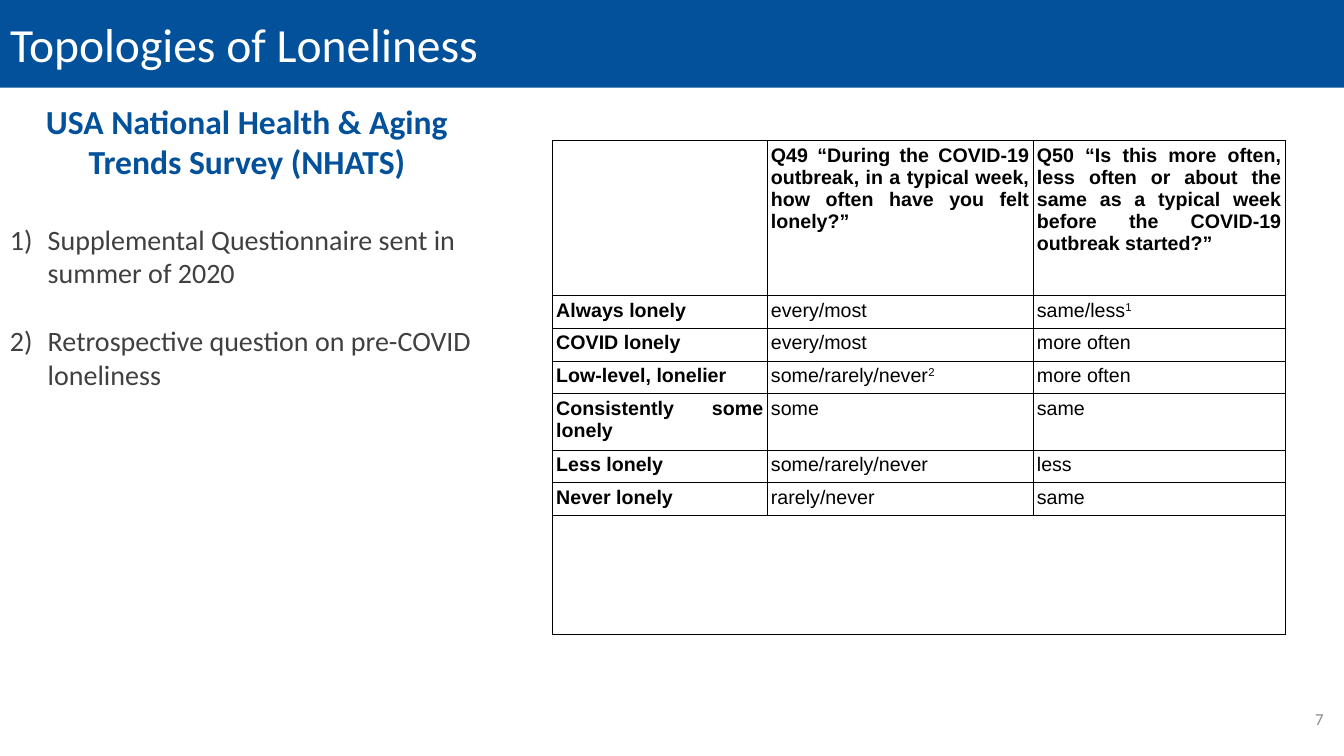
from lxml import etree
from pptx import Presentation
from pptx import util as u
from pptx.dml.color import RGBColor
from pptx.enum import shapes, text
from pptx.oxml import ns

BLUE, GREY, WHITE, BLACK = "03519B", "404040", "FFFFFF", "000000"
HEADING = "USA National Health & Aging Trends Survey (NHATS)"
POINTS = ["Supplemental Questionnaire sent in summer of 2020",
          "Retrospective question on pre-COVID loneliness"]
# A caret marks the start of a superscript
ROWS = [
    ["", "Q49 “During the COVID-19 outbreak, in a typical week, how often have you felt lonely?”",
     "Q50 “Is this more often, less often or about the same as a typical week "
     "before the COVID-19 outbreak started?”"],
    ["Always lonely", "every/most", "same/less^1"],
    ["COVID lonely", "every/most", "more often"],
    ["Low-level, lonelier", "some/rarely/never^2", "more often"],
    ["Consistently some lonely", "some", "same"],
    ["Less lonely", "some/rarely/never", "less"],
    ["Never lonely", "rarely/never", "same"],
    ["", "", ""],
]
COLUMN_WIDTHS = [153.4, 190, 180]
ROW_HEIGHTS = [110.9, 23.3, 23.3, 23.3, 40.5, 23.3, 23.3, 84.9]


def color(value):
    return RGBColor.from_string(value)


def style(target, **values):
    for name, value in values.items():
        setattr(target, name, value)


def add_span(para, words, size, hue, name="Calibri", bold=False):
    span = para.add_run()
    span.text = words
    style(span.font, size=u.Pt(size), name=name, bold=bold)
    span.font.color.rgb = color(hue)
    return span


def add_text_frame(page, left, top, width, height):
    frame = page.shapes.add_textbox(*map(u.Pt, (left, top, width, height))).text_frame
    frame.word_wrap = True
    return frame


def add_header(page, left, top, width, height):
    # Blue band, placed behind the title
    band = page.shapes.add_shape(shapes.MSO_SHAPE.RECTANGLE,
                                 *map(u.Pt, (left, top, width, height)))
    band.shadow.inherit = False
    band.fill.solid()
    band.fill.fore_color.rgb = color(BLUE)
    band.line.fill.background()
    title = page.shapes.title
    title.element.addprevious(band.element)
    # Title, centred on the band with room above and below
    style(title, left=u.Pt(left), top=u.Pt(top - 11.5),
          width=u.Pt(width - 73.4), height=u.Pt(height + 28.1))
    style(title.text_frame, vertical_anchor=text.MSO_ANCHOR.MIDDLE,
          auto_size=text.MSO_AUTO_SIZE.NONE, word_wrap=True)
    para = title.text_frame.paragraphs[0]
    style(para, alignment=text.PP_ALIGN.LEFT, line_spacing=0.9)
    add_span(para, "Topologies of Loneliness", 34, WHITE)


def add_survey_notes(page, left, top, width, height):
    frame = add_text_frame(page, left, top, width, height)
    para = frame.paragraphs[0]
    para.alignment = text.PP_ALIGN.CENTER
    add_span(para, HEADING, 24, BLUE, bold=True)
    # Numbered points
    for point, gap in zip(POINTS, (29.3, 24.4)):
        para = frame.add_paragraph()
        para.space_before = u.Pt(gap)
        props = para._p.get_or_add_pPr()
        props.set("marL", str(u.Pt(27)))
        props.set("indent", str(-u.Pt(27)))
        etree.SubElement(props, ns.qn("a:buFont"), typeface="+mj-lt")
        etree.SubElement(props, ns.qn("a:buAutoNum"), type="arabicParenR")
        add_span(para, point, 20, GREY)


def add_borders(cell):
    props = cell._tc.get_or_add_tcPr()
    for side in ("lnL", "lnR", "lnT", "lnB"):
        line = etree.SubElement(props, ns.qn("a:" + side), w=str(u.Pt(0.75)))
        fill = etree.SubElement(line, ns.qn("a:solidFill"))
        etree.SubElement(fill, ns.qn("a:srgbClr"), val=BLACK)


def fill_cell(cell, words, bold):
    margin = u.Pt(2.7)
    style(cell, margin_left=margin, margin_right=margin,
          margin_top=margin, margin_bottom=margin)
    add_borders(cell)
    cell.fill.background()
    if not words:
        return
    para = cell.text_frame.paragraphs[0]
    para.alignment = text.PP_ALIGN.JUSTIFY
    main, _, note = words.partition("^")
    add_span(para, main, 14, BLACK, "Arial", bold)
    if note:
        span = add_span(para, note, 14, BLACK, "Arial", bold)
        span.font._element.set("baseline", "30000")


def add_loneliness_table(page, left, top):
    size = (sum(COLUMN_WIDTHS), sum(ROW_HEIGHTS))
    table = page.shapes.add_table(len(ROWS), len(COLUMN_WIDTHS),
                                  *map(u.Pt, (left, top, *size))).table
    style(table, first_row=False, horz_banding=False)
    for column, width in zip(table.columns, COLUMN_WIDTHS):
        column.width = u.Pt(width)
    for row, height in zip(table.rows, ROW_HEIGHTS):
        row.height = u.Pt(height)
    # Bold header row and first column
    for r, row in enumerate(ROWS):
        for c, words in enumerate(row):
            fill_cell(table.cell(r, c), words, bold=r == 0 or c == 0)
    # The last row spans the table
    last = len(ROWS) - 1
    table.cell(last, 0).merge(table.cell(last, len(COLUMN_WIDTHS) - 1))


def add_page_number(page, left, top, width, height):
    para = add_text_frame(page, left, top, width, height).paragraphs[0]
    para.alignment = text.PP_ALIGN.RIGHT
    add_span(para, "7", 12, "8C8C8C")


def main():
    deck = Presentation()
    style(deck, slide_width=u.Pt(960), slide_height=u.Pt(540))
    page = deck.slides.add_slide(deck.slide_layouts[5])
    add_header(page, 0, 0, 960, 62.6)
    add_page_number(page, 790.6, 502.6, 162, 28.8)
    add_survey_notes(page, 0, 68.4, 352.8, 216)
    add_loneliness_table(page, 394.6, 100.4)
    deck.save("out.pptx")


if __name__ == "__main__":
    main()
